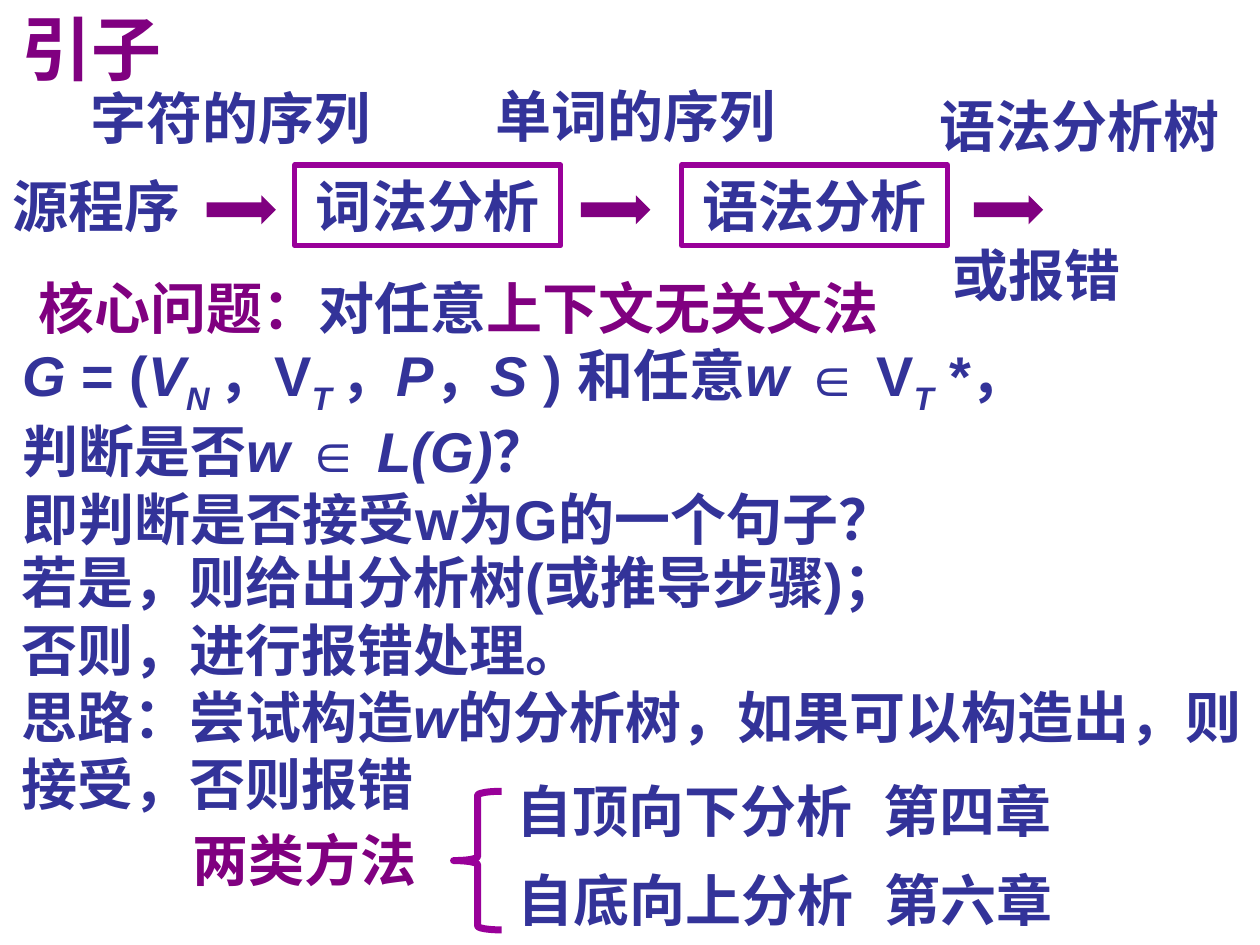
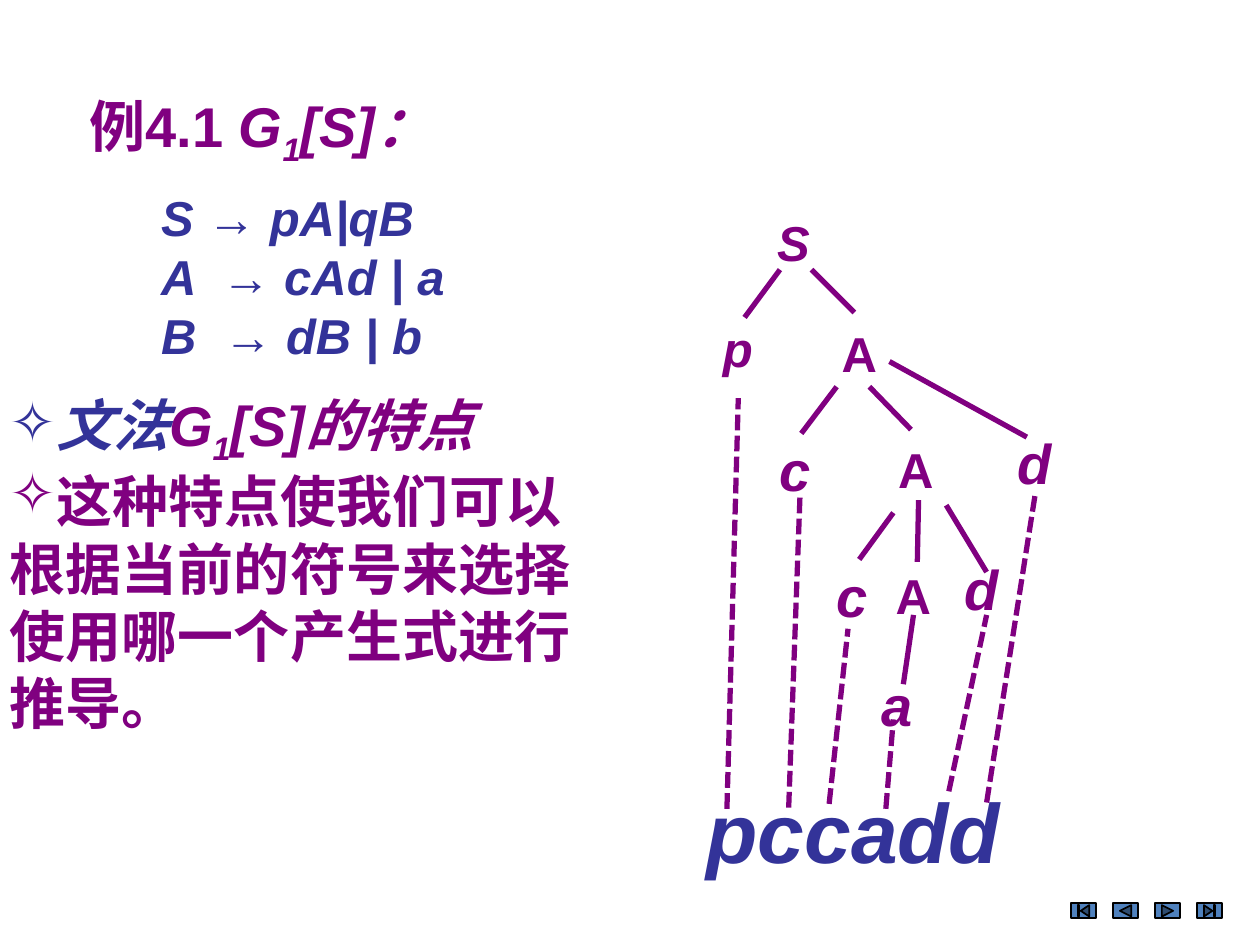
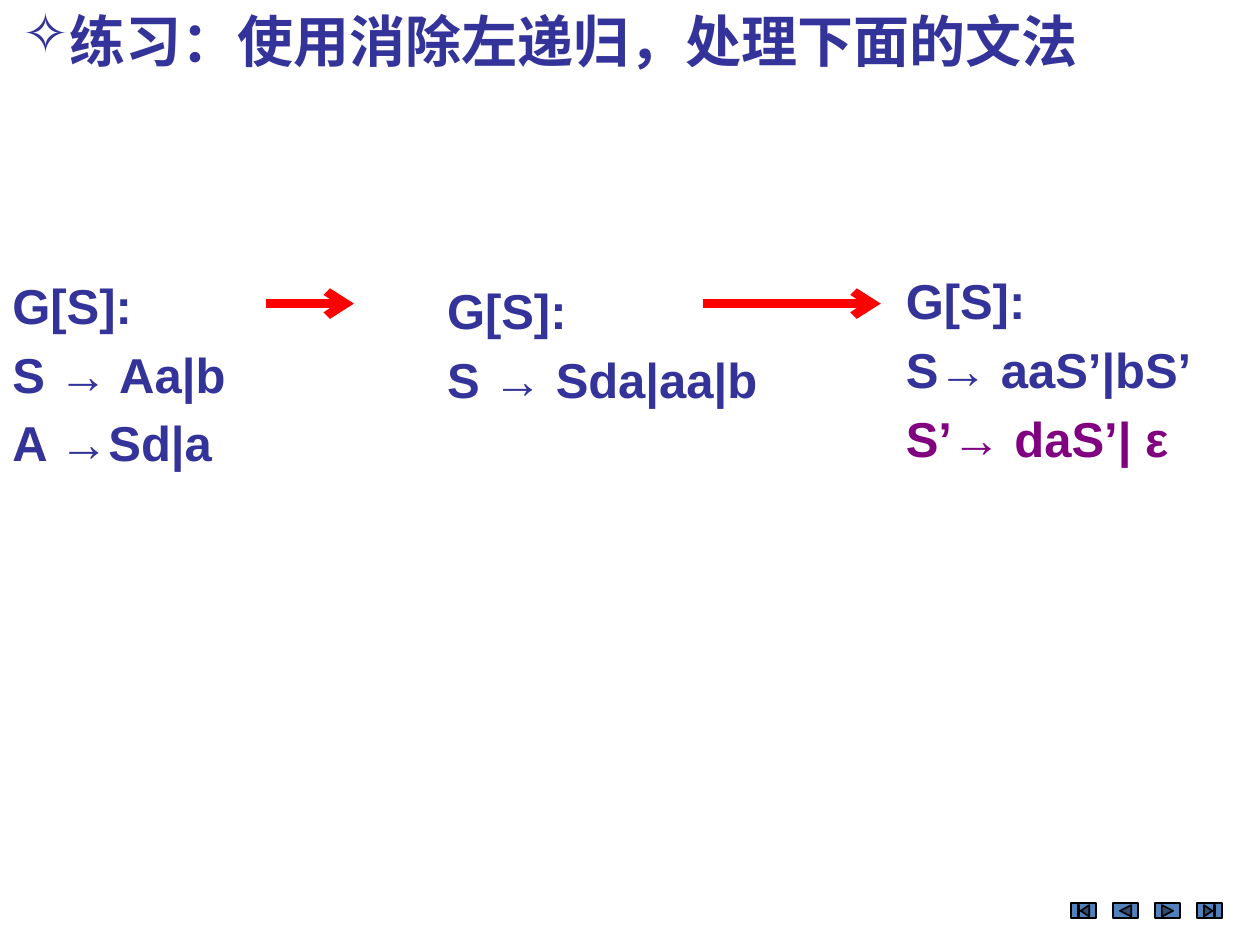
from dataclasses import dataclass
from typing import Any, NamedTuple

from lxml import etree
from pptx import Presentation
from pptx.dml.color import RGBColor
from pptx.enum.dml import MSO_LINE
from pptx.enum.shapes import MSO_CONNECTOR, MSO_SHAPE
from pptx.enum.text import MSO_ANCHOR, PP_ALIGN
from pptx.oxml.ns import qn
from pptx.util import Pt

RECT = MSO_SHAPE.RECTANGLE
ARROW = MSO_SHAPE.RIGHT_ARROW
BRACE = MSO_SHAPE.LEFT_BRACE
NAV = (
    MSO_SHAPE.ACTION_BUTTON_BEGINNING,
    MSO_SHAPE.ACTION_BUTTON_BACK_OR_PREVIOUS,
    MSO_SHAPE.ACTION_BUTTON_FORWARD_OR_NEXT,
    MSO_SHAPE.ACTION_BUTTON_END,
)
STRAIGHT = MSO_CONNECTOR.STRAIGHT
DASH = MSO_LINE.SQUARE_DOT
TOP = MSO_ANCHOR.TOP
LEFT, CENTER = PP_ALIGN.LEFT, PP_ALIGN.CENTER


@dataclass(frozen=True)
class Theme:
    ink: str = "333399"
    plum: str = "800080"
    edge: str = "990099"
    white: str = "FFFFFF"
    black: str = "000000"
    button: str = "4F81BD"
    red: str = "FF0000"
    face: str = "Arial"
    han: str = "Noto Sans CJK SC"
    small: int = 28
    body: int = 32
    title: int = 40
    huge: int = 48


T = Theme()


class Box(NamedTuple):
    x: float
    y: float
    w: float
    h: float = 46


class Bit(NamedTuple):
    text: str
    hue: str = T.ink
    ital: bool = False
    sub: bool = False
    size: int = T.body
    face: str = T.face


@dataclass(frozen=True)
class Para:
    bits: tuple[Bit, ...]
    align: Any = LEFT
    before: float = 0
    lead: float | None = None
    indent: float = 0
    mark: str = ""


class Node(NamedTuple):
    text: str
    x: float
    y: float
    size: int = T.body
    ital: bool = True


class Edge(NamedTuple):
    x1: float
    y1: float
    x2: float
    y2: float


def put(item: Any, form: dict[str, Any]) -> None:
    for name, value in form.items():
        setattr(item, name, value)


def line(text: str, hue: str = T.ink, **form: Any) -> Para:
    return Para((Bit(text, hue, **form),))


def write(frame: Any, paras: list[Para]) -> None:
    put(frame, {"word_wrap": True, "vertical_anchor": TOP})
    for num, para in enumerate(paras):
        item = frame.add_paragraph() if num else frame.paragraphs[0]
        put(item, {"alignment": para.align, "space_before": Pt(para.before),
                   "line_spacing": para.lead})
        props = item._p.get_or_add_pPr()
        props.set("marL", str(Pt(para.indent)))
        props.set("indent", "0")
        if para.mark:
            etree.SubElement(props, qn("a:buChar")).set("char", para.mark)
        for bit in para.bits:
            run = item.add_run()
            run.text = bit.text
            put(run.font, {"name": bit.face, "size": Pt(bit.size),
                           "bold": True, "italic": bit.ital})
            run.font.color.rgb = RGBColor.from_string(bit.hue)
            props = run._r.get_or_add_rPr()
            asian = etree.Element(qn("a:ea"))
            asian.set("typeface", bit.face)
            props.find(qn("a:latin")).addnext(asian)
            if bit.sub:
                props.set("baseline", "-25000")


def label(slide: Any, box: Box, *paras: Para) -> None:
    area = slide.shapes.add_textbox(*map(Pt, box))
    write(area.text_frame, list(paras))


def shape(slide: Any, kind: Any, box: Box, *paras: Para, fill: str = "",
          edge: str = "", width: float = 1) -> None:
    item = slide.shapes.add_shape(kind, *map(Pt, box))
    item.shadow.inherit = False
    if fill:
        item.fill.solid()
        item.fill.fore_color.rgb = RGBColor.from_string(fill)
    else:
        item.fill.background()
    if edge:
        item.line.color.rgb = RGBColor.from_string(edge)
        item.line.width = Pt(width)
    else:
        item.line.fill.background()
    if paras:
        write(item.text_frame, list(paras))


def link(slide: Any, edge: Edge, hue: str = T.plum, width: float = 3,
         dash: Any = None, head: bool = False) -> None:
    item = slide.shapes.add_connector(STRAIGHT, *map(Pt, edge))
    item.line.color.rgb = RGBColor.from_string(hue)
    put(item.line, {"width": Pt(width), "dash_style": dash})
    props = item.element.spPr
    if head:
        tail = etree.SubElement(props.find(qn("a:ln")), qn("a:tailEnd"))
        tail.set("type", "arrow")
    etree.SubElement(props, qn("a:effectLst"))


def page(deck: Any, nav: bool = True) -> Any:
    slide = deck.slides.add_slide(deck.slide_layouts[6])
    if nav:
        for num, kind in enumerate(NAV):
            shape(slide, kind, Box(612 + 24 * num, 516.2, 14.4, 8.6),
                  fill=T.button, edge=T.black)
    return slide


def intro(deck: Any) -> None:
    slide = page(deck, nav=False)
    head = Bit("引子", T.plum, size=T.title, face=T.han)
    label(slide, Box(5, 5, 593, 52), Para((head,), lead=0.9))

    for x, text in ((168.5, "词法分析"), (389.5, "语法分析")):
        shape(slide, RECT, Box(x, 94.3, 152), Para((Bit(text),), CENTER),
              edge=T.edge, width=3)
    for x in (118, 332, 556.5):
        shape(slide, ARROW, Box(x, 111.6, 39.6, 16.6), fill=T.plum)
    shape(slide, BRACE, Box(259.2, 452.2, 27.4, 79.2), edge=T.edge, width=4)

    notes = (
        (Box(0, 94.3, 124), "源程序", T.ink),
        (Box(44.6, 43.9, 186), "字符的序列", T.ink),
        (Box(275.8, 43.2, 186), "单词的序列", T.ink),
        (Box(530, 49, 178.5), "语法分析树", T.ink),
        (Box(537, 134, 178.5), "或报错", T.ink),
        (Box(103, 468, 210), "两类方法", T.plum),
        (Box(288, 440, 322.5), "自顶向下分析  第四章", T.ink),
        (Box(288.7, 491, 322.5), "自底向上分析  第六章", T.ink),
    )
    for box, text, hue in notes:
        label(slide, box, line(text, hue))

    def slant(text: str, sub: bool = False) -> Bit:
        return Bit(text, ital=True, sub=sub)

    label(
        slide, Box(5.8, 152.6, 693, 163),
        Para((Bit(" 核心问题：", T.plum), Bit("对任意"),
              Bit("上下文无关文法", T.plum))),
        Para((slant("G"), Bit(" = ("), slant("V"), slant("N ", True),
              Bit("，V"), slant("T ", True), Bit("，"), slant("P"),
              Bit("，"), slant("S "), Bit(") 和任意"), slant("w "),
              Bit("∈ V"), slant("T", True), Bit(" *，"))),
        Para((Bit("判断是否"), slant("w "), Bit("∈ "), slant("L(G)"),
              Bit("？"))),
        line("即判断是否接受w为G的一个句子？"),
    )
    label(
        slide, Box(5, 309.6, 713.5, 163),
        line("若是，则给出分析树(或推导步骤)；"),
        line("否则，进行报错处理。"),
        Para((Bit("思路：尝试构造"), slant("w"),
              Bit("的分析树，如果可以构造出，则接受，否则报错"))),
    )


def tree(deck: Any) -> None:
    slide = page(deck)

    def plum(text: str, sub: bool = False) -> Bit:
        return Bit(text, T.plum, True, sub)

    rules = ("S → pA|qB", "A  → cAd | a", "B  → dB | b")
    shape(
        slide, RECT, Box(8, 49, 313, 158.4),
        Para((Bit("例4.1", T.plum), plum(" G"), plum("1", True),
              plum("[S]：")), indent=36),
        *(Para((Bit(text, ital=True, size=T.small),), indent=77,
               before=0 if num else 11) for num, text in enumerate(rules)),
        fill=T.white,
    )
    trait = "这种特点使我们可以根据当前的符号来选择使用哪一个产生式进行推导。"
    shape(
        slide, RECT, Box(-1.4, 219.6, 355.7, 239.8),
        Para((Bit("文法", ital=True), plum("G"), plum("1", True),
              plum("[S]的特点")), mark="✧"),
        Para((Bit(trait, T.plum),), mark="✧"),
        fill=T.white,
    )

    nodes = (
        Node("S", 437, 118, T.small),
        Node("p", 406, 178.6, T.small),
        Node("A", 473.8, 181.4, T.small, False),
        Node("c", 438.5, 245.5),
        Node("A", 506.2, 247.7, T.small, False),
        Node("d", 574.6, 241.2),
        Node("c", 470.9, 317.5),
        Node("A", 504.7, 319.7, T.small, False),
        Node("d", 544.3, 313.2),
        Node("a", 496.8, 379.4),
    )
    for node in nodes:
        label(slide, Box(node.x, node.y, 36),
              line(node.text, T.plum, ital=node.ital, size=node.size))

    edges = (
        Edge(425.5, 181.4, 445.7, 154.1),
        Edge(488.2, 178.6, 463.7, 154.1),
        Edge(586.8, 249.8, 508.3, 206.6),
        Edge(457.9, 247.7, 478.1, 221),
        Edge(520.6, 245.5, 496.8, 221),
        Edge(563.8, 326.9, 540.7, 288.7),
        Edge(491, 319.7, 510.5, 293),
        Edge(524.2, 321.1, 524.9, 285.8),
        Edge(516.2, 391, 522, 351.4),
    )
    drops = (
        Edge(415.4, 462.2, 421.9, 227.5),
        Edge(450.7, 461.5, 457.2, 281.5),
        Edge(473.8, 459.4, 484.6, 359.3),
        Edge(506.2, 462.2, 510.5, 411.1),
        Edge(542.2, 452.2, 563.8, 351.4),
        Edge(563.8, 458.6, 591.8, 280.8),
    )
    for edge in edges:
        link(slide, edge)
    for drop in drops:
        link(slide, drop, dash=DASH)
    label(slide, Box(396.6, 442, 230, 65),
          line("pccadd", ital=True, size=T.huge))


def drill(deck: Any) -> None:
    slide = page(deck)
    head = Bit("练习：使用消除左递归，处理下面的文法", face=T.han)
    label(slide, Box(5.8, 0, 623.5), Para((head,), mark="✧"))

    stages = (
        (Box(0, 154, 168.5, 130), ("S → Aa|b", "A →Sd|a")),
        (Box(248.4, 157, 225.4, 130), ("S → Sda|aa|b",)),
        (Box(510.5, 151.2, 209.5, 168), ("S→ aaS’|bS’", "S’→ daS’| ε")),
    )
    for box, rules in stages:
        paras = [line("G[S]:", size=T.small)]
        for text in rules:
            hue = T.plum if text.startswith("S’") else T.ink
            paras.append(Para((Bit(text, hue, size=T.small),), before=5.6))
        label(slide, box, *paras)
    for start, end in ((152, 202.3), (401.8, 503.3)):
        link(slide, Edge(start, 173.5, end, 173.5), T.red, 5, head=True)


def main() -> None:
    deck = Presentation()
    put(deck, {"slide_width": Pt(720), "slide_height": Pt(540)})
    for build in (intro, tree, drill):
        build(deck)
    deck.save("out.pptx")


if __name__ == "__main__":
    main()
